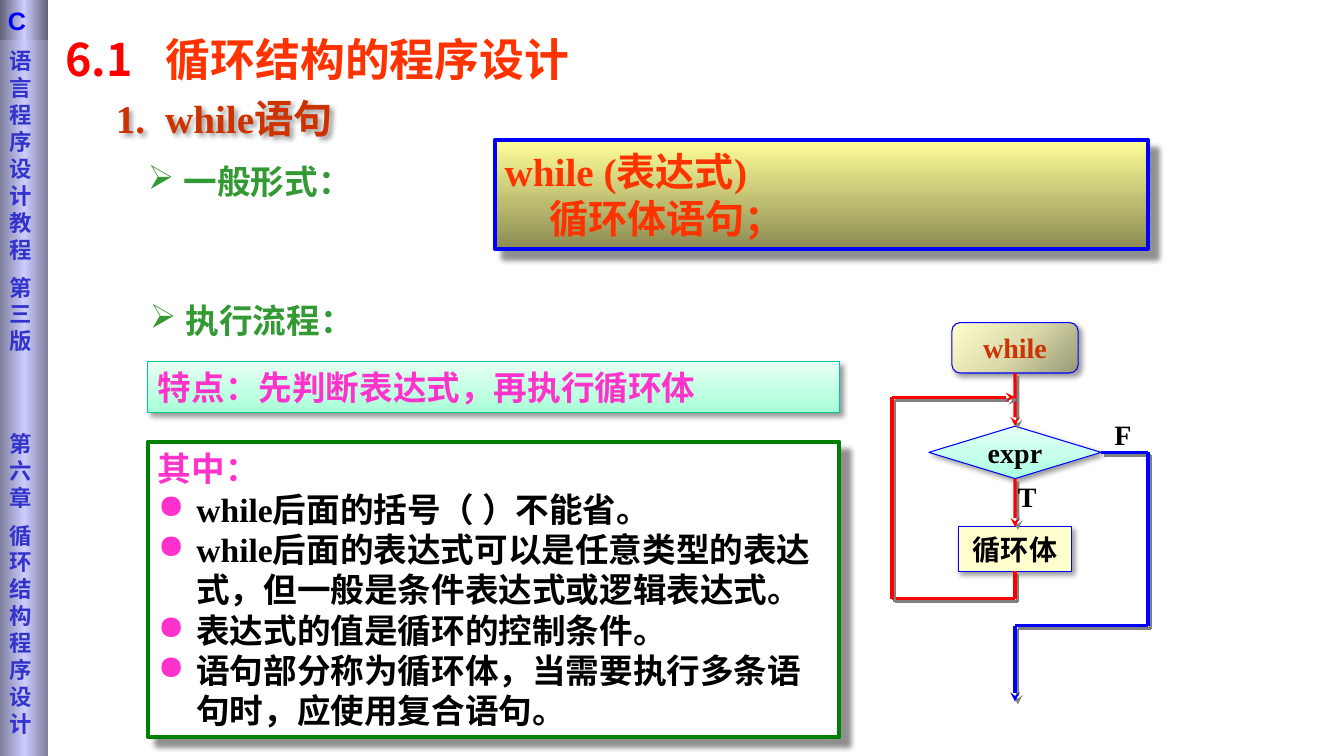
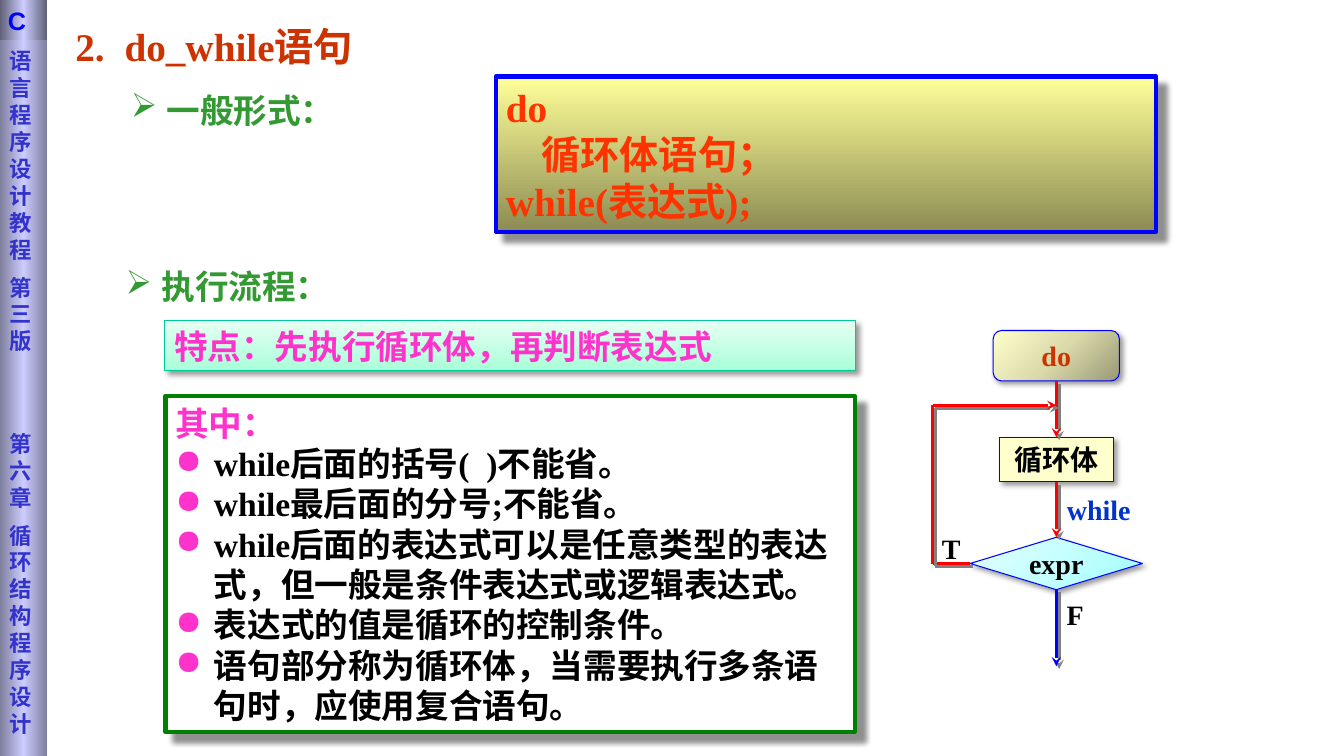
from itertools import pairwise

from lxml import etree
from pptx import Presentation
from pptx import util as u
from pptx.dml.color import RGBColor
from pptx.enum import shapes, text
from pptx.oxml.ns import qn

SERIF, HAN, SANS, SIDE = "Times New Roman", "Noto Sans CJK SC", "Arial", "DejaVu Sans"
COLORS = {
    "red": "FF0000", "orange": "FF3300", "rust": "CC3300", "green": "339933",
    "frame": "008000", "blue": "0000FF", "link": "0033CC", "side": "3333CC",
    "pink": "FF33CC", "mint": "00C896", "cream": "FFFFCD", "black": "000000",
    "white": "FFFFFF", "gray": "808080",
}
GRADIENTS = {
    "code": (90, [(0, "FFFF99"), (100, "8C8C54")]),
    "feature": (270, [(0, "A5FFD6"), (35, "BFFFE2"), (100, "E7FFF3")]),
    "start": (225, [(0, "999977"), (50, "DADAAA"), (100, "FFFFCD")]),
    "mint test": (270, [(0, "A7FFE2"), (50, "C9FFEC"), (100, "E5FFF5")]),
    "cyan test": (225, [(0, "A0FFFF"), (50, "C5FFFF"), (100, "E3FFFF")]),
    "band": (0, [(0, "7E7E9D"), (50, "CCCCFF"), (100, "7E7E9D")]),
    "band top": (0, [(0, "606078"), (50, "CCCCFF"), (100, "606078")]),
}
SHADOWS = {
    "deep": ("black", 43, 4, 8.4), "soft": ("black", 40, 4, 3), "line": ("gray", 100, 0, 2.8),
}
NODES = {
    "start": (shapes.MSO_SHAPE.FLOWCHART_ALTERNATE_PROCESS, 3.18, 1.27, "rust"),
    "test": (shapes.MSO_SHAPE.FLOWCHART_DECISION, 4.34, 1.32, "black"),
    "body": (shapes.MSO_SHAPE.RECTANGLE, 2.87, 1.12, "black"),
}
TOP, LEFT, BOTTOM, RIGHT = range(4)


def rgb(color):
    """Turn a colour name into an RGB value."""
    return RGBColor.from_string(COLORS[color])


def assign(target, values):
    """Set each named attribute of the target."""
    for name, value in values.items():
        setattr(target, name, value)


def add_element(parent, tag, **attributes):
    """Append an XML element with the given attributes."""
    values = {name: str(value) for name, value in attributes.items()}
    return etree.SubElement(parent, qn(tag), values)


def cast_shadow(item, kind):
    """Give a shape or connector an offset shadow."""
    color, alpha, blur, distance = SHADOWS[kind]
    properties = item.element.spPr
    effects = properties.find(qn("a:effectLst"))
    if effects is None:
        effects = add_element(properties, "a:effectLst")
    shadow = add_element(effects, "a:outerShdw", blurRad=int(u.Pt(blur)),
                         dist=int(u.Pt(distance)), dir=45 * 60000, algn="tl", rotWithShape=0)
    tint = add_element(shadow, "a:srgbClr", val=COLORS[color])
    add_element(tint, "a:alpha", val=alpha * 1000)


def paint(box, fill):
    """Fill a shape with a named gradient or plain colour."""
    if fill in COLORS:
        box.fill.solid()
        box.fill.fore_color.rgb = rgb(fill)
        return
    angle, stops = GRADIENTS[fill]
    box.fill.gradient()
    box.fill.gradient_angle = -angle % 360
    stop_list = box.element.spPr.find(qn("a:gradFill")).find(qn("a:gsLst"))
    for old in list(stop_list):
        stop_list.remove(old)
    for position, color in stops:
        stop = add_element(stop_list, "a:gs", pos=position * 1000)
        add_element(stop, "a:srgbClr", val=color)


def add_panel(page, area, fill, line=None, width=0.75, shadow=None,
              kind=shapes.MSO_SHAPE.RECTANGLE):
    """Draw a filled shape with an optional outline and shadow."""
    box = page.shapes.add_shape(kind, *map(u.Cm, area))
    box.shadow.inherit = False
    paint(box, fill)
    if line:
        box.line.color.rgb = rgb(line)
        box.line.width = u.Pt(width)
    else:
        box.line.fill.background()
    if shadow:
        cast_shadow(box, shadow)
    return box


def add_text_box(page, area):
    """Add an empty text box."""
    return page.shapes.add_textbox(*map(u.Cm, area))


def set_frame(box, **values):
    """Format the text frame of a box."""
    frame = box.text_frame
    layout = {
        "word_wrap": True, "auto_size": text.MSO_AUTO_SIZE.NONE,
        "vertical_anchor": text.MSO_ANCHOR.MIDDLE,
        "margin_left": u.Cm(0.25), "margin_right": u.Cm(0.25),
        "margin_top": u.Cm(0.13), "margin_bottom": u.Cm(0.13),
    }
    assign(frame, layout | values)
    return frame


def write(frame, content, size, color, font=SERIF, mark=None, indent=0, tab=None,
          align=text.PP_ALIGN.LEFT, before=0):
    """Write one paragraph from a string or from (text, colour) spans."""
    first = frame.paragraphs[0]
    para = frame.add_paragraph() if first.runs else first
    properties = para._p.get_or_add_pPr()
    if mark:
        properties.set("marL", str(int(u.Cm(indent))))
        properties.set("indent", str(-int(u.Cm(indent))))
        bullet_color, symbol = mark
        tint = add_element(properties, "a:buClr")
        add_element(tint, "a:srgbClr", val=COLORS[bullet_color])
        add_element(properties, "a:buChar", char=symbol)
    if tab:
        tabs = add_element(properties, "a:tabLst")
        add_element(tabs, "a:tab", pos=int(u.Cm(tab)), algn="l")
    assign(para, {"alignment": align, "line_spacing": u.Pt(size * 1.2),
                  "space_before": u.Pt(before)})
    for words, tone in [(content, color)] if isinstance(content, str) else content:
        span = para.add_run()
        span.text = words
        assign(span.font, {"size": u.Pt(size), "bold": True, "name": font})
        span.font.color.rgb = rgb(tone)
        add_element(span._r.get_or_add_rPr(), "a:ea", typeface=HAN)


def add_title(page, area, content, size, font, tab):
    """Place and write the slide title."""
    title = page.shapes.title
    names = ("left", "top", "width", "height")
    assign(title, dict(zip(names, map(u.Cm, area))))
    write(set_frame(title), content, size, "rust", font, tab=tab)


def add_band(page, width):
    """Draw the course band down the left edge."""
    band = add_panel(page, (0, 0, width, 19.05), "band")
    frame = set_frame(band, vertical_anchor=text.MSO_ANCHOR.TOP,
                      margin_left=u.Cm(0.23), margin_top=u.Cm(1.2))
    parts = [("语言程序设计教程", 0), ("第三版", 8), ("第六章", 54), ("循环结构程序设计", 8)]
    for words, before in parts:
        write(frame, words, 16, "side", SIDE, before=before)
    cap = add_panel(page, (0, 0, width, 1.02), "band top")
    write(set_frame(cap, margin_left=u.Cm(0.2)), "C", 18, "blue", SANS)


def add_heading(page, left, top, words):
    """Add a green heading with an arrow bullet."""
    box = add_text_box(page, (left, top, 6.81, 1.27))
    write(set_frame(box), words, 24, "green", HAN, mark=("green", "➢"), indent=0.9)


def add_code(page, area, lines):
    """Add the syntax panel."""
    frame = set_frame(add_panel(page, area, "code", "blue", 3, "deep"))
    for line in lines:
        write(frame, line, 28, "orange")


def add_feature(page, left, top, words):
    """Add the one-line feature strip."""
    box = add_panel(page, (left, top, 17.42, 1.27), "feature", "mint", shadow="soft")
    write(set_frame(box), words, 24, "pink")


def add_notes_panel(page, area, items):
    """Add the framed list of remarks."""
    frame = set_frame(add_panel(page, area, "white", "frame", 3, "deep"))
    write(frame, "其中：", 24, "pink")
    for item in items:
        write(frame, item, 24, "black", mark=("pink", "●"), indent=0.97)


def add_node(page, kind, center, top, words, fill):
    """Add a flowchart node centred on a vertical axis."""
    preset, width, height, color = NODES[kind]
    area = (center - width / 2, top, width, height)
    box = add_panel(page, area, fill, "blue", shadow="soft", kind=preset)
    write(set_frame(box, word_wrap=False), words, 20, color, align=text.PP_ALIGN.CENTER)
    return box


def add_label(page, center, top, words, color="black"):
    """Add a branch label centred at a point."""
    box = add_text_box(page, (center - 1.3, top, 2.6, 1.09))
    write(set_frame(box), words, 20, color, align=text.PP_ALIGN.CENTER)


def add_route(page, color, points, start=None, end=None):
    """Draw connected lines through the points, with an arrow at the end."""
    links = []
    for begin, finish in pairwise(points):
        link = page.shapes.add_connector(shapes.MSO_CONNECTOR.STRAIGHT,
                                         *map(u.Cm, begin + finish))
        link.line.color.rgb = rgb(color)
        link.line.width = u.Pt(2.25)
        cast_shadow(link, "line")
        links.append(link)
    add_element(links[-1].element.spPr.find(qn("a:ln")), "a:tailEnd", type="stealth")
    if start:
        links[0].begin_connect(*start)
    if end:
        links[-1].end_connect(*end)


def add_while_flow(page):
    """Draw the flowchart of the while loop."""
    axis, left, right = 25.58, 22.48, 28.93
    test = add_node(page, "test", axis, 10.74, "expr", "mint test")
    body = add_node(page, "body", axis, 13.28, "循环体", "cream")
    start = add_node(page, "start", axis, 8.13, "while", "start")
    add_route(page, "red", [(axis, 9.4), (axis, 10.74)], (start, BOTTOM), (test, TOP))
    add_route(page, "red", [(axis, 12.06), (axis, 13.28)], (test, BOTTOM), (body, TOP))
    add_route(page, "red", [(axis, 14.4), (axis, 15.09), (left, 15.09), (left, 10.01),
                            (axis, 10.01)], (body, BOTTOM))
    add_route(page, "blue", [(axis + 2.17, 11.4), (right, 11.4), (right, 15.77),
                             (axis, 15.77), (axis, 17.68)], (test, RIGHT))
    add_label(page, 25.89, 11.96, "T")
    add_label(page, 28.3, 10.39, "F")


def add_do_flow(page):
    """Draw the flowchart of the do-while loop."""
    axis, left = 26.62, 23.5
    test = add_node(page, "test", axis, 13.54, "expr", "cyan test")
    body = add_node(page, "body", axis, 11.02, "循环体", "cream")
    start = add_node(page, "start", axis, 8.33, "do", "start")
    add_route(page, "red", [(axis, 9.6), (axis, 11.02)], (start, BOTTOM), (body, TOP))
    add_route(page, "red", [(axis, 12.14), (axis, 13.54)], (body, BOTTOM), (test, TOP))
    add_route(page, "red", [(axis - 2.17, 14.2), (left, 14.2), (left, 10.21),
                            (axis, 10.21)], (test, LEFT))
    add_route(page, "blue", [(axis, 14.86), (axis, 16.79)], (test, BOTTOM))
    add_label(page, 23.97, 13.27, "T")
    add_label(page, 27.1, 14.94, "F")
    add_label(page, 27.69, 12.3, "while", "link")


def main():
    """Build the two slides and save the deck."""
    deck = Presentation()
    assign(deck, {"slide_width": u.Cm(33.87), "slide_height": u.Cm(19.05)})
    layout = deck.slide_layouts.get_by_name("Title Only")
    shared = [
        "while后面的表达式可以是任意类型的表达式，但一般是条件表达式或逻辑表达式。",
        "表达式的值是循环的控制条件。",
        "语句部分称为循环体，当需要执行多条语句时，应使用复合语句。",
    ]

    page = deck.slides.add_slide(layout)
    add_band(page, 1.22)
    add_title(page, (1.4, 0.58, 21.59, 1.8),
              [("6.1\t", "red"), ("循环结构的程序设计", "orange")], 32, HAN, 2.53)
    subtitle = add_text_box(page, (2.67, 2.24, 6.4, 1.45))
    write(set_frame(subtitle), "1.\twhile语句", 28, "rust", tab=1.24)
    cast_shadow(subtitle, "soft")
    add_heading(page, 3.48, 3.94, "一般形式：")
    add_code(page, (12.47, 3.53, 16.46, 2.74), ["while (表达式)", "     循环体语句；"])
    add_heading(page, 3.53, 7.44, "执行流程：")
    add_feature(page, 3.73, 9.12, "特点：先判断表达式，再执行循环体")
    add_notes_panel(page, (3.73, 11.13, 17.42, 7.44),
                    ["while后面的括号（ ）不能省。", *shared])
    add_while_flow(page)

    page = deck.slides.add_slide(layout)
    add_band(page, 1.19)
    add_title(page, (1.65, 0.43, 9.4, 1.45), "2.\tdo_while语句", 28, SERIF, 1.24)
    add_heading(page, 3.05, 2.13, "一般形式：")
    add_code(page, (12.5, 1.93, 16.64, 3.91), ["do", "    循环体语句；", "while(表达式);"])
    add_heading(page, 2.92, 6.58, "执行流程：")
    add_feature(page, 4.14, 8.08, "特点：先执行循环体，再判断表达式")
    add_notes_panel(page, (4.17, 9.98, 17.37, 8.46),
                    ["while后面的括号(  )不能省。", "while最后面的分号;不能省。", *shared])
    add_do_flow(page)
    deck.save("out.pptx")


if __name__ == "__main__":
    main()
